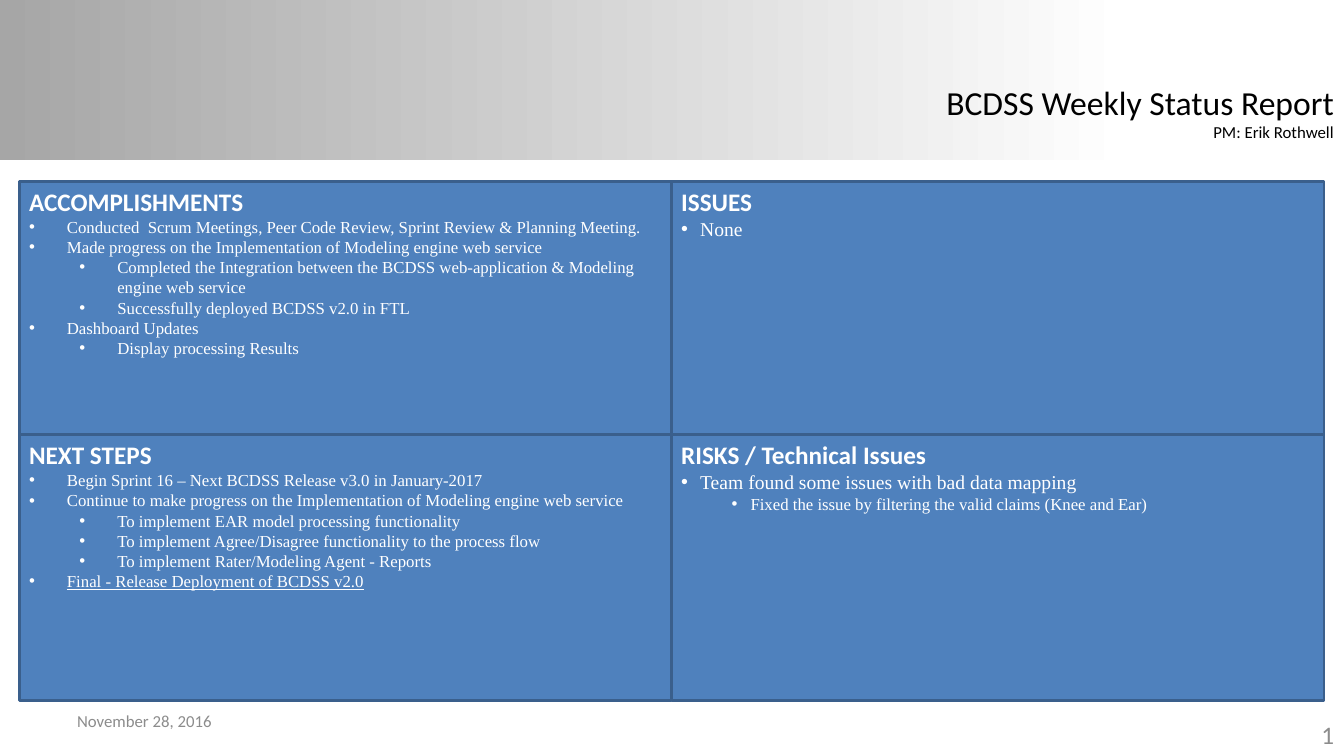
"""Builds the BCDSS weekly status slide with four report panels."""
from lxml import etree
from pptx import Presentation
from pptx.dml.color import RGBColor
from pptx.enum.shapes import MSO_SHAPE
from pptx.enum.text import MSO_ANCHOR, PP_ALIGN
from pptx.oxml.ns import qn
from pptx.util import Pt

RECTANGLE = MSO_SHAPE.RECTANGLE
TOP, MIDDLE = MSO_ANCHOR.TOP, MSO_ANCHOR.MIDDLE
LEFT, RIGHT = PP_ALIGN.LEFT, PP_ALIGN.RIGHT
BLACK = RGBColor(0x00, 0x00, 0x00)
WHITE = RGBColor(0xFF, 0xFF, 0xFF)
BANNER_GRAY = RGBColor(0xA6, 0xA6, 0xA6)
FOOTER_GRAY = RGBColor(0x8C, 0x8C, 0x8C)
PANEL_BLUE = RGBColor(0x4F, 0x81, 0xBD)
PANEL_BORDER = RGBColor(0x3A, 0x5F, 0x8C)
HEADING_FONT, LIST_FONT = "Calibri", "Times New Roman"

COLUMNS = [(13.7, 465.6), (479.5, 466.2)]
ROWS = [(129.6, 180.4), (310.6, 189.8)]
LEVEL_STEP = 36
FINAL_STEP = "Final - Release Deployment of BCDSS v2.0"
PANELS = [
    ("ACCOMPLISHMENTS", 0, 0, 27, (12, 12), [
        (0, "Conducted  Scrum Meetings, Peer Code Review, Sprint Review & Planning Meeting."),
        (0, "Made progress on the Implementation of Modeling engine web service"),
        (1, "Completed the Integration between the BCDSS web-application & Modeling engine web service"),
        (1, "Successfully deployed BCDSS v2.0 in FTL"),
        (0, "Dashboard Updates"),
        (1, "Display processing Results"),
    ]),
    ("NEXT STEPS", 0, 1, 27, (12, 12), [
        (0, "Begin Sprint 16 – Next BCDSS Release v3.0 in January-2017"),
        (0, "Continue to make progress on the Implementation of Modeling engine web service"),
        (1, "To implement EAR model processing functionality"),
        (1, "To implement Agree/Disagree functionality to the process flow"),
        (1, "To implement Rater/Modeling Agent - Reports"),
        (0, FINAL_STEP),
    ]),
    ("ISSUES", 1, 0, 13.5, (14, 12), [(0, "None")]),
    ("RISKS / Technical Issues", 1, 1, 13.5, (14, 12), [
        (0, "Team found some issues with bad data mapping"),
        (1, "Fixed the issue by filtering the valid claims (Knee and Ear)"),
    ]),
]


def write(paragraph, text, size, color, font=HEADING_FONT, bold=False, align=LEFT):
    paragraph.text = text
    paragraph.alignment = align
    run_font = paragraph.runs[0].font
    run_font.name, run_font.size, run_font.bold = font, Pt(size), bold
    run_font.color.rgb = color


def add_bullet(paragraph, level, hang):
    paragraph.level = level
    properties = paragraph._p.get_or_add_pPr()
    properties.set("marL", str(Pt(hang + level * LEVEL_STEP)))
    properties.set("indent", str(-Pt(hang)))
    etree.SubElement(properties, qn("a:buFont")).set("typeface", "Arial")
    etree.SubElement(properties, qn("a:buChar")).set("char", "•")


presentation = Presentation()
presentation.slide_width, presentation.slide_height = Pt(960), Pt(540)
slide = presentation.slides.add_slide(presentation.slide_layouts[5])

banner = slide.shapes.add_shape(RECTANGLE, 0, 0, Pt(960), Pt(114))
banner.shadow.inherit = False
banner.line.fill.background()
banner.fill.gradient()
banner.fill.gradient_angle = 0
fade_start, fade_end = banner.fill.gradient_stops
fade_start.color.rgb, fade_start.position = BANNER_GRAY, 0
fade_end.color.rgb, fade_end.position = WHITE, 0.84

report_title = slide.shapes.title
slide.shapes._spTree.append(report_title._element)
report_title.left, report_title.top = Pt(666), Pt(54.7)
report_title.width, report_title.height = Pt(294), Pt(51)
title_frame = report_title.text_frame
title_frame.word_wrap = False
title_frame.vertical_anchor = TOP
write(title_frame.paragraphs[0], "BCDSS Weekly Status Report", 24, BLACK, align=RIGHT)
write(title_frame.add_paragraph(), "PM: Erik Rothwell", 12, BLACK, align=RIGHT)

for heading, column, row, hang, sizes, items in PANELS:
    left, width = COLUMNS[column]
    top, height = ROWS[row]
    panel = slide.shapes.add_shape(RECTANGLE, Pt(left), Pt(top), Pt(width), Pt(height))
    panel.shadow.inherit = False
    panel.fill.solid()
    panel.fill.fore_color.rgb = PANEL_BLUE
    panel.line.color.rgb = PANEL_BORDER
    panel.line.width = Pt(2)
    panel_frame = panel.text_frame
    panel_frame.word_wrap = True
    panel_frame.vertical_anchor = TOP
    write(panel_frame.paragraphs[0], heading, 18, WHITE, bold=True)
    for level, item in items:
        entry = panel_frame.add_paragraph()
        add_bullet(entry, level, hang)
        write(entry, item, sizes[level], WHITE, LIST_FONT)
        if item == FINAL_STEP:
            entry.runs[0].font.underline = True

for text, left, top, size, align in [
    ("November 28, 2016", 48, 500.5, 12, LEFT),
    ("1", 736, 510.5, 18, RIGHT),
]:
    footer = slide.shapes.add_textbox(Pt(left), Pt(top), Pt(224), Pt(28.8))
    footer.text_frame.word_wrap = True
    footer.text_frame.vertical_anchor = MIDDLE
    write(footer.text_frame.paragraphs[0], text, size, FOOTER_GRAY, align=align)

presentation.save("out.pptx")
